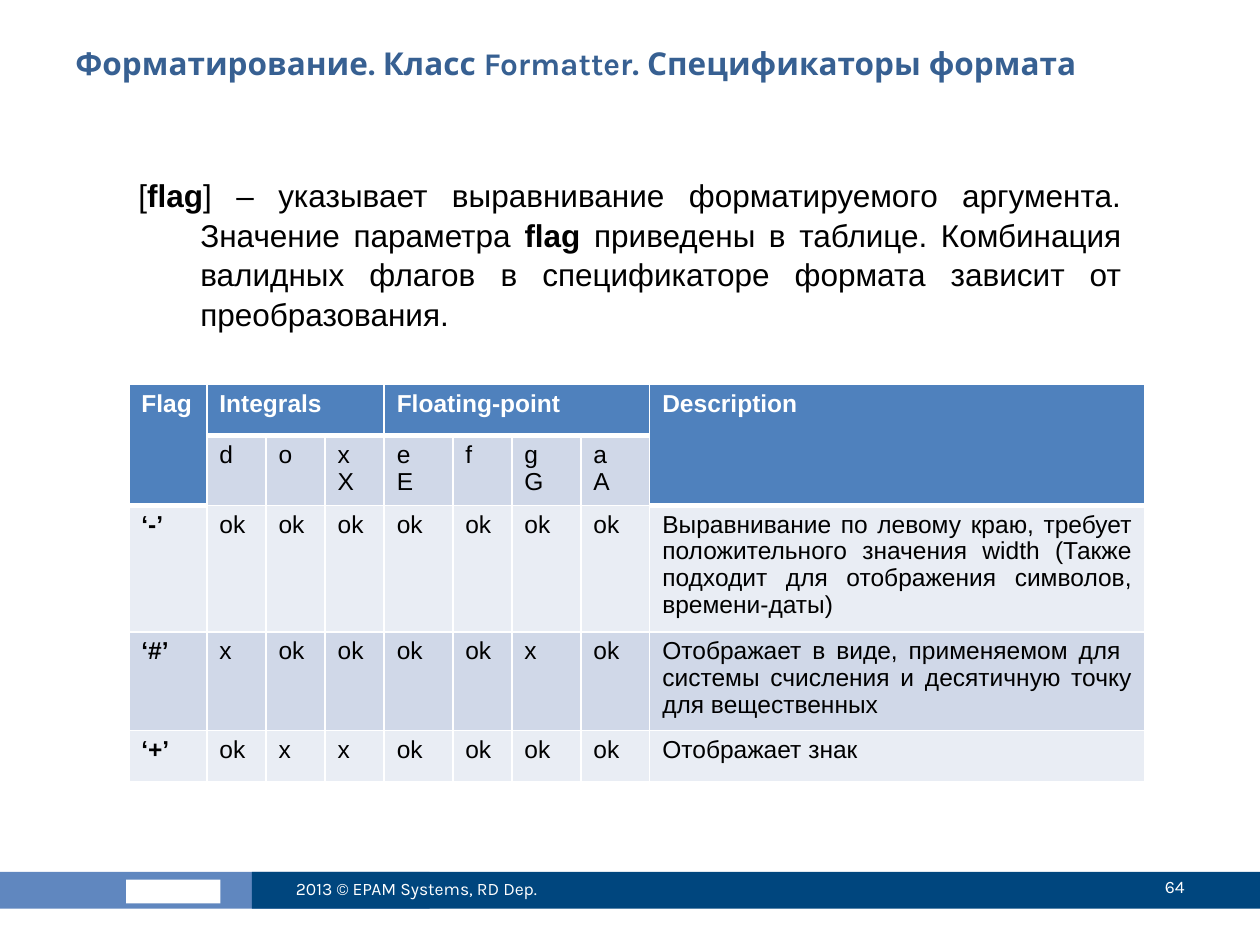
from dataclasses import dataclass

from lxml import etree
from pptx import Presentation
from pptx.dml.color import RGBColor
from pptx.enum.shapes import MSO_SHAPE
from pptx.enum.text import MSO_ANCHOR, PP_ALIGN
from pptx.oxml.ns import qn
from pptx.util import Pt

LEFT, RIGHT, JUSTIFY = PP_ALIGN.LEFT, PP_ALIGN.RIGHT, PP_ALIGN.JUSTIFY
TOP, MIDDLE = MSO_ANCHOR.TOP, MSO_ANCHOR.MIDDLE
RECTANGLE = MSO_SHAPE.RECTANGLE


@dataclass(frozen=True)
class Theme:
    title: str = "376092"
    ink: str = "000000"
    white: str = "FFFFFF"
    header: str = "4F81BD"
    band_dark: str = "D0D8E8"
    band_light: str = "E9EDF4"
    footer_light: str = "6087BF"
    footer_dark: str = "00467E"
    heading_font: str = "Karla"
    body_font: str = "Arial"
    large: int = 18
    table: int = 14
    small: int = 10


THEME = Theme()

TITLE = "Форматирование. Класс Formatter. Спецификаторы формата"
BODY = [
    ("[", False),
    ("flag", True),
    ("] – указывает выравнивание форматируемого аргумента. Значение параметра ", False),
    ("flag ", True),
    ("приведены в таблице. Комбинация валидных флагов в спецификаторе формата "
     "зависит от преобразования.", False),
]
FOOTER = "2013 © EPAM Systems, RD Dep."
PAGE_NUMBER = "64"

HEADERS = [
    ("Flag", 0, 2, 1),
    ("Integrals", 1, 1, 3),
    ("Floating-point", 4, 1, 4),
    ("Description", 8, 2, 1),
]
CONVERSIONS = ["d", "o", "x\nX", "e\nE", "f", "g\nG", "a\nA"]
FLAGS = [
    ("‘-’", "ok ok ok ok ok ok ok",
     "Выравнивание по левому краю, требует положительного значения width "
     "(Также подходит для отображения символов, времени-даты)"),
    ("‘#’", "x ok ok ok ok x ok",
     "Отображает в виде, применяемом для  системы счисления и десятичную точку "
     "для вещественных"),
    ("‘+’", "ok x x ok ok ok ok", "Отображает знак"),
]
COLUMN_WIDTHS = [44.6, 33.8, 33.8, 33.8, 39.2, 33.8, 39.4, 39.4, 282.8]
ROW_HEIGHT = 29.2
TABLE_LEFT, TABLE_TOP = 73.6, 219.8

BARS = [
    (-1.5, 498.2, 247, 21, THEME.footer_light),
    (72, 502.6, 54, 13.6, THEME.white),
    (144, 498.2, 576, 21, THEME.footer_dark),
]


def write_text(frame, text, *, size, color, font=THEME.body_font, bold=False,
               align=LEFT, anchor=TOP, spacing=None, hanging=0):
    frame.word_wrap = True
    frame.vertical_anchor = anchor
    runs = [(text, bold)] if isinstance(text, str) else text
    lines = [[]]
    for content, weight in runs:
        first, *rest = content.split("\n")
        lines[-1].append((first, weight))
        lines.extend([(part, weight)] for part in rest)
    for index, line in enumerate(lines):
        paragraph = frame.add_paragraph() if index else frame.paragraphs[0]
        paragraph.alignment = align
        if spacing:
            paragraph.line_spacing = spacing
        if hanging:
            properties = paragraph._p.get_or_add_pPr()
            properties.set("marL", str(Pt(hanging)))
            properties.set("indent", str(-Pt(hanging)))
        for content, weight in line:
            run = paragraph.add_run()
            run.text = content
            run.font.name = font
            run.font.size = Pt(size)
            run.font.bold = weight
            run.font.color.rgb = RGBColor.from_string(color)


def add_text_box(slide, box, text, **text_format):
    shape = slide.shapes.add_textbox(*map(Pt, box))
    write_text(shape.text_frame, text, **text_format)


def add_bar(slide, left, top, width, height, color):
    shape = slide.shapes.add_shape(RECTANGLE, *map(Pt, (left, top, width, height)))
    shape.shadow.inherit = False
    shape.fill.solid()
    shape.fill.fore_color.rgb = RGBColor.from_string(color)
    shape.line.fill.background()


def style_cell(cell, color, bottom_width=1, top_width=1):
    cell.fill.solid()
    cell.fill.fore_color.rgb = RGBColor.from_string(color)
    properties = cell._tc.get_or_add_tcPr()
    widths = {"lnL": 1, "lnR": 1, "lnT": top_width, "lnB": bottom_width}
    for index, (side, width) in enumerate(widths.items()):
        line = etree.Element(qn(f"a:{side}"), w=str(Pt(width)))
        fill = etree.SubElement(line, qn("a:solidFill"))
        etree.SubElement(fill, qn("a:srgbClr"), val=THEME.white)
        properties.insert(index, line)


def fill_cell(cell, text, color=THEME.ink, **text_format):
    write_text(cell.text_frame, text, size=THEME.table, color=color,
               spacing=0.97, **text_format)


def add_flag_table(slide):
    row_count, column_count = len(FLAGS) + 2, len(COLUMN_WIDTHS)
    frame = slide.shapes.add_table(
        row_count, column_count, Pt(TABLE_LEFT), Pt(TABLE_TOP),
        Pt(sum(COLUMN_WIDTHS)), Pt(ROW_HEIGHT * row_count))
    table = frame.table
    for column, width in zip(table.columns, COLUMN_WIDTHS):
        column.width = Pt(width)
    for row in table.rows:
        row.height = Pt(ROW_HEIGHT)

    tall_columns = {column for _, column, rows, _ in HEADERS if rows == 2}
    for row in range(row_count):
        for column in range(column_count):
            last_header = 1 if column in tall_columns else 0
            band = THEME.band_dark if row % 2 else THEME.band_light
            style_cell(table.cell(row, column),
                       THEME.header if row <= last_header else band,
                       bottom_width=3 if row <= last_header else 1,
                       top_width=3 if row == last_header + 1 else 1)

    for text, column, rows, columns in HEADERS:
        cell = table.cell(0, column)
        cell.merge(table.cell(rows - 1, column + columns - 1))
        fill_cell(cell, text, THEME.white, bold=True)
    for column, text in enumerate(CONVERSIONS, 1):
        fill_cell(table.cell(1, column), text)
    for row, (flag, support, description) in enumerate(FLAGS, 2):
        fill_cell(table.cell(row, 0), flag, bold=True)
        for column, text in enumerate(support.split(), 1):
            fill_cell(table.cell(row, column), text)
        fill_cell(table.cell(row, column_count - 1), description, align=JUSTIFY)


def main():
    presentation = Presentation()
    presentation.slide_width, presentation.slide_height = Pt(720), Pt(540)
    slide = presentation.slides.add_slide(presentation.slide_layouts[6])
    for bar in BARS:
        add_bar(slide, *bar)
    add_text_box(slide, (36, 21.6, 648, 56), TITLE, size=THEME.large,
                 color=THEME.title, font=THEME.heading_font, bold=True)
    add_flag_table(slide)
    footer_format = dict(size=THEME.small, color=THEME.white,
                         font=THEME.heading_font, anchor=MIDDLE)
    add_text_box(slide, (162, 493.2, 192, 28.8), FOOTER, **footer_format)
    add_text_box(slide, (606, 492, 78, 28.8), PAGE_NUMBER, align=RIGHT, **footer_format)
    add_text_box(slide, (72, 96, 576, 378), BODY, size=THEME.large,
                 color=THEME.ink, align=JUSTIFY, spacing=1.05, hanging=35.4)
    presentation.save("out.pptx")


if __name__ == "__main__":
    main()
